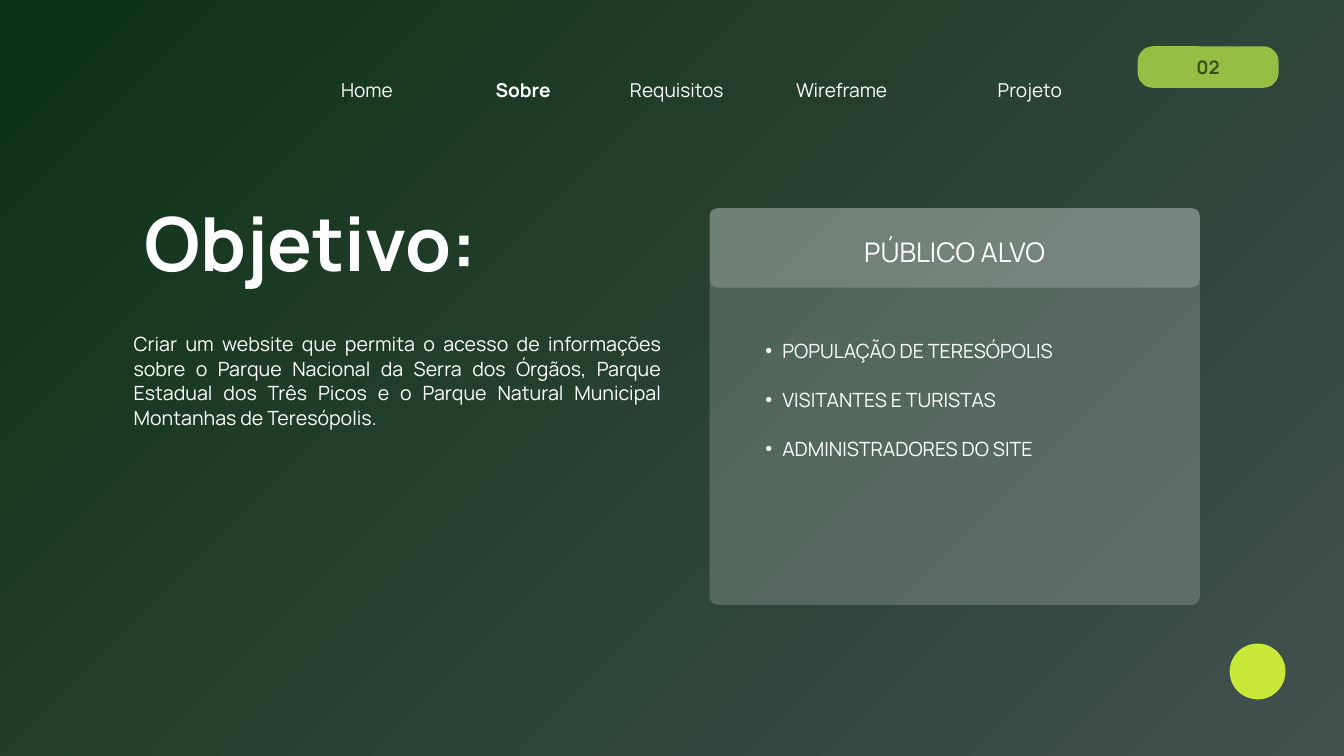
from lxml.etree import SubElement
from pptx import Presentation
from pptx.dml.color import RGBColor
from pptx.enum.shapes import MSO_SHAPE as Shape
from pptx.enum.text import MSO_AUTO_SIZE as AutoSize, PP_ALIGN as Align
from pptx.oxml.ns import qn
from pptx.util import Cm, Pt

FONT = "Manrope"
WHITE = RGBColor(0xFF, 0xFF, 0xFF)
FOREST = RGBColor(0x0D, 0x32, 0x16)
SLATE = RGBColor(0x42, 0x50, 0x4E)
LEAF = RGBColor(0x94, 0xBF, 0x44)
MOSS = RGBColor(0x3C, 0x50, 0x17)
LIME = RGBColor(0xCA, 0xE8, 0x38)

NAV_ITEMS = [("Home", 4.62), ("Sobre", 5.31), ("Requisitos", 4.42),
             ("Wireframe", 6.17), ("Projeto", 6.17)]
NAV_LEFT, NAV_TOP, NAV_GAP = 11.56, 2.83, 0.94
ACTIVE_ITEM = "Sobre"

AUDIENCE = ["POPULAÇÃO DE TERESÓPOLIS", "VISITANTES E TURISTAS",
            "ADMINISTRADORES DO SITE"]
GOAL = ("Criar um website que permita o acesso de informações sobre o Parque "
        "Nacional da Serra dos Órgãos, Parque Estadual dos Três Picos e o "
        "Parque Natural Municipal Montanhas de Teresópolis.")


def paint_background(page):
    """Gradient that spreads from the top left corner."""
    fill = page.background.fill
    fill.gradient()
    for stop, color in zip(fill.gradient_stops, (FOREST, SLATE)):
        stop.color.rgb = color
    gradient = next(page.element.iter(qn("a:gradFill")))
    gradient.remove(gradient.find(qn("a:lin")))
    spread = SubElement(gradient, qn("a:path"), {"path": "circle"})
    SubElement(spread, qn("a:fillToRect"), {"r": "100000", "b": "100000"})
    gradient.find(qn("a:gsLst")).addnext(spread)


def add_block(page, kind, left, top, width, height, color, radius=None, alpha=None):
    block = page.shapes.add_shape(kind, Cm(left), Cm(top), Cm(width), Cm(height))
    block.shadow.inherit = False
    block.line.fill.background()
    block.fill.solid()
    block.fill.fore_color.rgb = color
    if radius is not None:
        block.adjustments[0] = radius / min(width, height)
    if alpha is not None:
        tint = next(block.fill._xPr.iter(qn("a:srgbClr")))
        SubElement(tint, qn("a:alpha"), {"val": str(alpha * 1000)})


def add_bullet(para):
    para.level = 1
    props = para._p.get_or_add_pPr()
    props.set("marL", str(Cm(1.27)))
    props.set("indent", str(Cm(-0.64)))
    SubElement(props, qn("a:buFont"), {"typeface": "Arial"})
    SubElement(props, qn("a:buChar"), {"char": "•"})


def add_text(page, lines, left, top, width, height, size, spacing,
             align=Align.CENTER, color=WHITE, bold=False, bullets=False):
    box = page.shapes.add_textbox(Cm(left), Cm(top), Cm(width), Cm(height))
    frame = box.text_frame
    frame.margin_left = frame.margin_top = 0
    frame.margin_right = frame.margin_bottom = 0
    frame.word_wrap = True
    frame.auto_size = AutoSize.SHAPE_TO_FIT_TEXT
    frame.text = "\n".join(lines)
    for para in frame.paragraphs:
        para.alignment = align
        para.line_spacing = Pt(spacing)
        if bullets:
            add_bullet(para)
        for span in para.runs:
            span.font.name = FONT
            span.font.size = Pt(size)
            span.font.bold = bold
            span.font.color.rgb = color


def add_navigation(page):
    left = NAV_LEFT
    for label, width in NAV_ITEMS:
        add_text(page, [label], left, NAV_TOP, width, 1, 20.5, 28.7,
                 bold=label == ACTIVE_ITEM)
        left += width + NAV_GAP


def main():
    deck = Presentation()
    deck.slide_width, deck.slide_height = Cm(50.8), Cm(28.58)
    page = deck.slides.add_slide(deck.slide_layouts[6])
    paint_background(page)

    # Page number
    add_block(page, Shape.ROUNDED_RECTANGLE, 43, 1.75, 5.33, 1.57, LEAF, radius=0.58)
    add_text(page, ["02"], 43.69, 1.96, 3.94, 1, 20, 28, color=MOSS, bold=True)

    # Goal
    add_text(page, ["Objetivo:"], 5.46, 8.2, 20.24, 3.05, 79.9, 74.3,
             align=Align.LEFT, bold=True)
    add_text(page, [GOAL], 5.05, 12.52, 19.94, 3.76, 21, 26.2, align=Align.JUSTIFY)

    # Target audience card: panel, then its header
    for height in (15, 3):
        add_block(page, Shape.ROUNDED_RECTANGLE, 26.82, 7.87, 18.53, height, WHITE,
                  radius=0.3, alpha=19)
    add_text(page, ["PÚBLICO ALVO"], 27.69, 8.69, 16.79, 1.45, 29, 40.6)
    add_text(page, AUDIENCE, 28.3, 11.84, 15.98, 5.36, 21, 52.5,
             align=Align.JUSTIFY, bullets=True)

    # Corner dot and navigation
    add_block(page, Shape.OVAL, 46.48, 24.33, 2.11, 2.11, LIME)
    add_navigation(page)

    deck.save("out.pptx")


if __name__ == "__main__":
    main()
